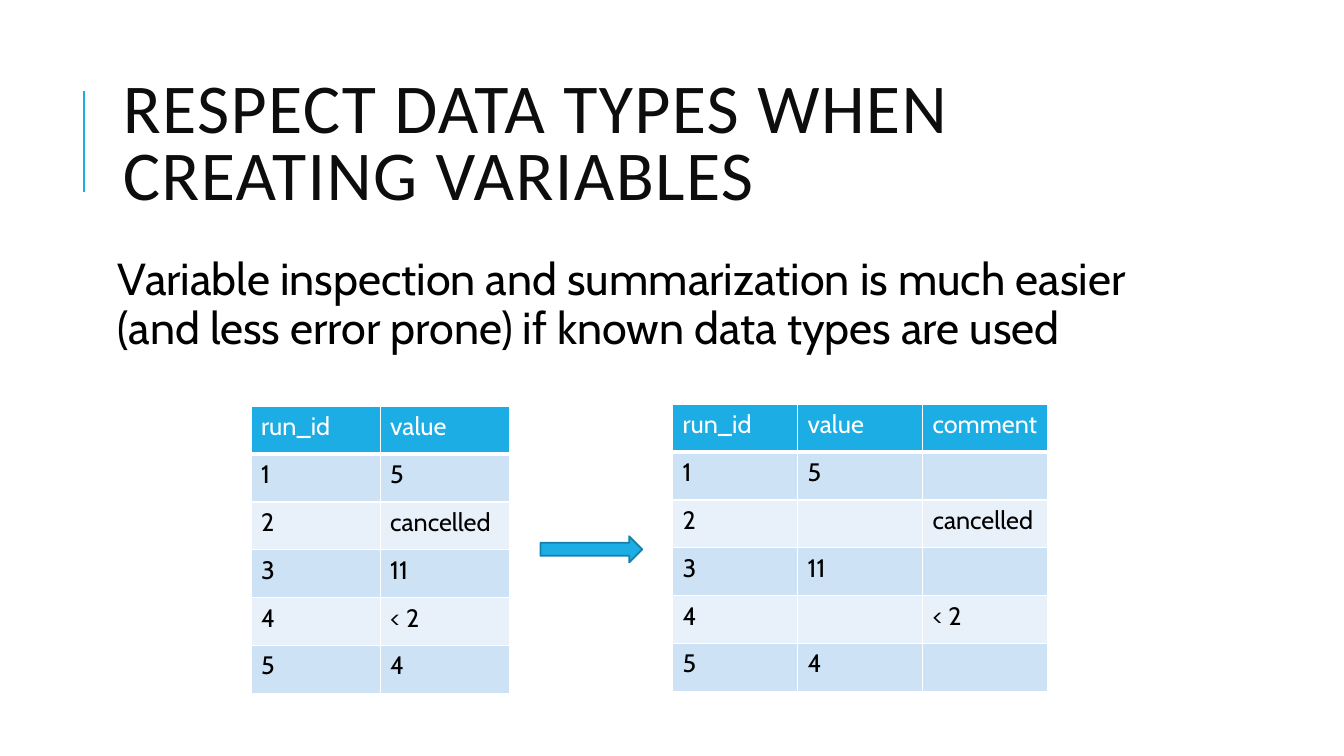
from lxml.etree import SubElement
from pptx import Presentation
from pptx.dml.color import RGBColor
from pptx.enum.shapes import MSO_CONNECTOR, MSO_SHAPE
from pptx.enum.text import MSO_ANCHOR
from pptx.oxml.ns import qn
from pptx.util import Inches, Pt

# Content
TITLE = "RESPECT DATA TYPES WHEN CREATING VARIABLES"
BODY = ("Variable inspection and summarization is much easier "
        "(and less error prone) if known data types are used")
MIXED = [
    ("run_id", "value"),
    ("1", "5"),
    ("2", "cancelled"),
    ("3", "11"),
    ("4", "< 2"),
    ("5", "4"),
]
TYPED = [
    ("run_id", "value", "comment"),
    ("1", "5", ""),
    ("2", "", "cancelled"),
    ("3", "11", ""),
    ("4", "", "< 2"),
    ("5", "4", ""),
]
# Left, top, column width of each table, in inches
TABLES = [(MIXED, 2.49, 4.03, 1.28), (TYPED, 6.67, 4.01, 1.24)]
TABLE_H = 2.85

ACCENT, ACCENT_DARK = "1CADE4", "1580A9"
BANDS = ("E8F1FA", "CDE3F5")
WHITE, BLACK, TITLE_INK = "FFFFFF", "000000", "0D0D0D"
TEXT_LEFT, TEXT_W = 1.12, 10.63


def color(hex_string):
    return RGBColor.from_string(hex_string)


def set_font(p, name, size, ink):
    p.font.name, p.font.size = name, Pt(size)
    p.font.color.rgb = color(ink)


def add_text(slide, text, top, height, font, spacing, inset=None):
    box = slide.shapes.add_textbox(Inches(TEXT_LEFT), Inches(top),
                                   Inches(TEXT_W), Inches(height))
    tf = box.text_frame
    tf.word_wrap = True
    if inset is not None:
        tf.margin_left = tf.margin_right = Inches(inset)
        tf.margin_top = tf.margin_bottom = Inches(inset)
    p = tf.paragraphs[0]
    p.text = text
    p.line_spacing = spacing
    set_font(p, *font)
    return tf


def add_borders(cell, bottom):
    tc_pr = cell._tc.get_or_add_tcPr()
    for side, width in (("L", 1), ("R", 1), ("T", 1), ("B", bottom)):
        ln = SubElement(tc_pr, qn(f"a:ln{side}"), w=str(Pt(width)))
        fill = SubElement(ln, qn("a:solidFill"))
        SubElement(fill, qn("a:srgbClr"), val=WHITE)


def add_data_table(slide, rows, left, top, col_w):
    n_rows, n_cols = len(rows), len(rows[0])
    table = slide.shapes.add_table(n_rows, n_cols, Inches(left), Inches(top),
                                   Inches(col_w * n_cols), Inches(TABLE_H)).table
    for i, row in enumerate(rows):
        header = i == 0
        for j, text in enumerate(row):
            cell = table.cell(i, j)
            add_borders(cell, 3 if header else 1)
            cell.fill.solid()
            cell.fill.fore_color.rgb = color(ACCENT if header else BANDS[i % 2])
            cell.text = text
            set_font(cell.text_frame.paragraphs[0], "Cabin", 18,
                     WHITE if header else BLACK)


def main():
    prs = Presentation()
    prs.slide_width, prs.slide_height = Inches(13.33), Inches(7.5)
    slide = prs.slides.add_slide(prs.slide_layouts[6])

    # Accent line beside the title
    rule = slide.shapes.add_connector(MSO_CONNECTOR.STRAIGHT, Inches(0.83),
                                      Inches(1.9), Inches(0.83), Inches(0.9))
    rule.line.color.rgb = color(ACCENT)
    rule.line.width = Pt(1.5)
    SubElement(rule._element.spPr, qn("a:effectLst"))

    # Title and statement
    tf = add_text(slide, TITLE, 0.64, 1.64, ("Calibri", 50, TITLE_INK), 0.8)
    tf.vertical_anchor = MSO_ANCHOR.MIDDLE
    tf.paragraphs[0].runs[0]._r.get_or_add_rPr().set("spc", "100")
    tf = add_text(slide, BODY, 2.5, 1.16, ("Cabin", 32, BLACK), 0.9, 0.05)
    tf.paragraphs[0].space_before = Pt(12)
    tf.paragraphs[0].space_after = Pt(2)

    # Tables before and after
    for rows, left, top, col_w in TABLES:
        add_data_table(slide, rows, left, top, col_w)

    # Arrow between the tables
    arrow = slide.shapes.add_shape(MSO_SHAPE.RIGHT_ARROW, Inches(5.36),
                                   Inches(5.32), Inches(1.01), Inches(0.26))
    arrow.shadow.inherit = False
    arrow.fill.solid()
    arrow.fill.fore_color.rgb = color(ACCENT)
    arrow.line.color.rgb = color(ACCENT_DARK)
    arrow.line.width = Pt(1.25)

    prs.save("out.pptx")


if __name__ == "__main__":
    main()
